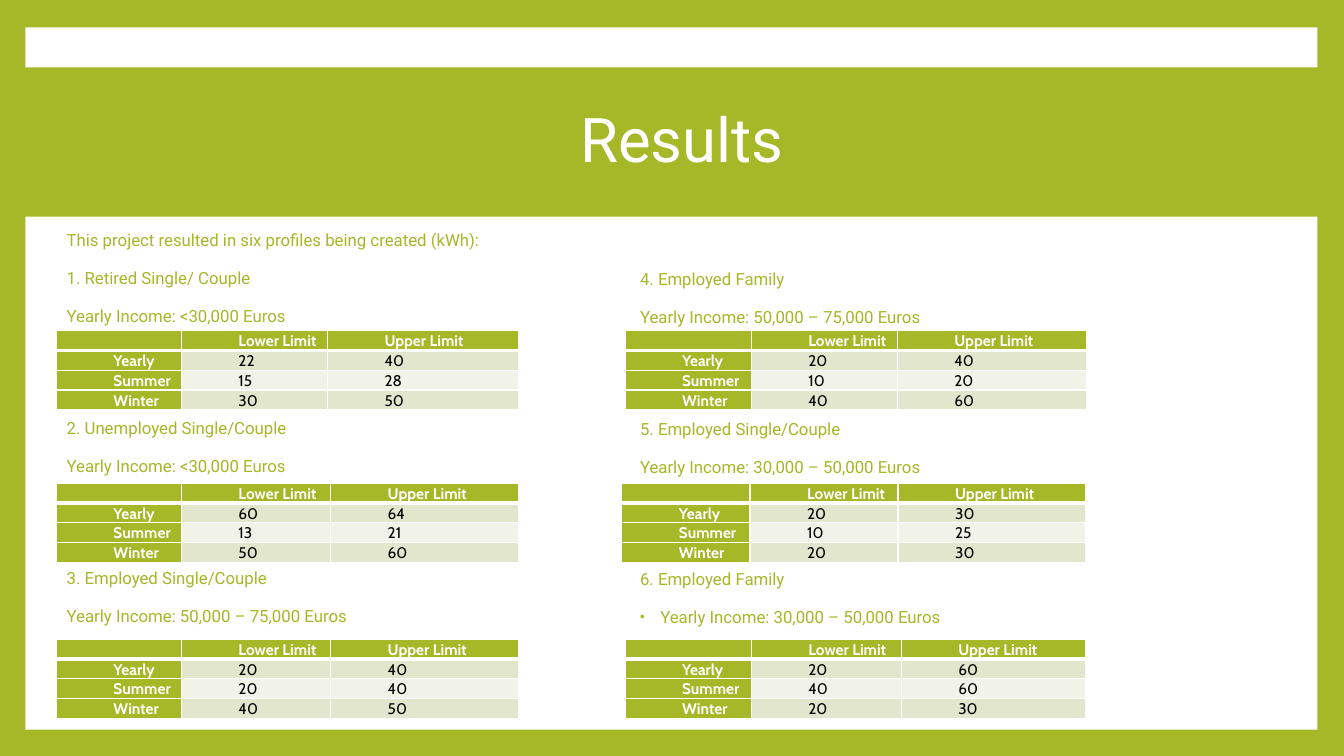
from lxml import etree
from pptx import Presentation
from pptx.dml.color import RGBColor
from pptx.enum import shapes, text
from pptx.oxml import ns
from pptx.util import Cm, Pt

GREEN, WHITE, BLACK = "A6B727", "FFFFFF", "000000"
BANDS = ["E1E6CD", "F1F3E8"]

TITLE = "Results"
INTRO = "This project resulted in six profiles being created (kWh):"
HEADERS = ["", "Lower Limit", "Upper Limit"]
SEASONS = ["Yearly", "Summer", "Winter"]
# One list per slide column: name, income, (lower, upper) per season,
# table left and column widths in cm
PROFILES = [
    [
        ("1. Retired Single/ Couple", "Yearly Income: <30,000 Euros",
         [(22, 40), (15, 28), (30, 50)], 1.42, (3.15, 3.68, 4.82)),
        ("2. Unemployed Single/Couple", "Yearly Income: <30,000 Euros",
         [(60, 64), (13, 21), (50, 60)], 1.42, (3.15, 3.76, 4.75)),
        ("3. Employed Single/Couple", "Yearly Income: 50,000 – 75,000 Euros",
         [(20, 40), (20, 40), (40, 50)], 1.42, (3.15, 3.76, 4.75)),
    ],
    [
        ("4. Employed Family", "Yearly Income: 50,000 – 75,000 Euros",
         [(20, 40), (10, 20), (40, 60)], 15.75, (3.18, 3.68, 4.78)),
        ("5. Employed Single/Couple", "Yearly Income: 30,000 – 50,000 Euros",
         [(20, 30), (10, 25), (20, 30)], 15.67, (3.23, 3.73, 4.72)),
        ("6. Employed Family", "Yearly Income: 30,000 – 50,000 Euros",
         [(20, 60), (40, 60), (20, 30)], 15.75, (3.18, 3.78, 4.65)),
    ],
]
TABLE_TOPS = [8.33, 12.17, 16.1]
ROW_HEIGHT = 0.475
TEXT_LEFTS = [1.3, 15.75]
TEXT_TOP_INSETS = [0.13, 1.11]
LINE_GAP, TABLE_GAP = 14, 67.3

BODY = {"size": Pt(12), "name": "Roboto", "color": GREEN}
HEADING = {"size": Pt(44), "name": "Roboto", "color": WHITE}
LABEL = {"size": Pt(11), "name": "Cabin", "bold": True, "color": WHITE}
VALUE = {"size": Pt(11), "name": "Cabin", "bold": False, "color": BLACK}


def rgb(color):
    return RGBColor.from_string(color)


def fill(target, color):
    target.fill.solid()
    target.fill.fore_color.rgb = rgb(color)


def add_node(parent, tag, **attributes):
    return etree.SubElement(parent, ns.qn(tag), attributes)


def write(paragraph, words, style, **layout):
    run = paragraph.add_run()
    run.text = words
    for key, value in style.items():
        if key == "color":
            run.font.color.rgb = rgb(value)
        else:
            setattr(run.font, key, value)
    for key, value in layout.items():
        setattr(paragraph, key, value)


def set_indent(paragraph, left, first=0):
    properties = paragraph._p.get_or_add_pPr()
    properties.set("marL", str(Cm(left)))
    properties.set("indent", str(Cm(first)))
    return properties


def add_bullet(paragraph):
    properties = set_indent(paragraph, 0.64, -0.51)
    add_node(add_node(properties, "a:buClr"), "a:srgbClr", val=GREEN)
    add_node(properties, "a:buSzPct", val="80000")
    add_node(properties, "a:buFont", typeface="Arial")
    add_node(properties, "a:buChar", char="•")


def add_border(cell, side, points):
    line = add_node(cell._tc.get_or_add_tcPr(), "a:ln" + side, w=str(Pt(points)))
    add_node(add_node(line, "a:solidFill"), "a:srgbClr", val=WHITE)


def add_profile_text(slide, column, profiles):
    box = slide.shapes.add_textbox(Cm(TEXT_LEFTS[column]), Cm(5.72), Cm(12.27), Cm(12.22))
    frame = box.text_frame
    frame.word_wrap = True
    frame.margin_top = Cm(TEXT_TOP_INSETS[column])
    lines = [(INTRO, 0)] if column == 0 else []
    for index, (name, income, *_) in enumerate(profiles):
        lines += [(name, TABLE_GAP if index else LINE_GAP), (income, LINE_GAP)]
    for index, (words, gap) in enumerate(lines):
        paragraph = frame.add_paragraph() if index else frame.paragraphs[0]
        before = Pt(gap) if index else Pt(0)
        write(paragraph, words, BODY, line_spacing=0.9, space_before=before)
        set_indent(paragraph, 0.13)
    if column == 1:
        add_bullet(paragraph)


def format_cell(cell, words, row, column):
    is_label = row == 0 or column == 0
    for side, value in {"left": 0.17, "right": 0.17, "top": 0, "bottom": 0}.items():
        setattr(cell, "margin_" + side, Cm(value))
    for side in "LRTB":
        thick = (row, side) in [(0, "B"), (1, "T")]
        add_border(cell, side, 3 if thick else 1)
    fill(cell, GREEN if is_label else BANDS[(row - 1) % 2])
    paragraph = cell.text_frame.paragraphs[0]
    if words:
        write(paragraph, words, LABEL if is_label else VALUE,
              line_spacing=1.07, alignment=text.PP_ALIGN.JUSTIFY)
        set_indent(paragraph, 1.27)
    else:
        add_node(paragraph._p, "a:endParaRPr", sz="1100")


def add_limits_table(slide, limits, left, top, widths):
    rows = [HEADERS] + [[season, *map(str, pair)] for season, pair in zip(SEASONS, limits)]
    frame = slide.shapes.add_table(len(rows), len(HEADERS), Cm(left), Cm(top),
                                   Cm(sum(widths)), Cm(ROW_HEIGHT * len(rows)))
    table = frame.table
    table.horz_banding = False
    for column, width in zip(table.columns, widths):
        column.width = Cm(width)
    for row, entries in enumerate(rows):
        for column, words in enumerate(entries):
            format_cell(table.cell(row, column), words, row, column)


def main():
    presentation = Presentation()
    presentation.slide_width, presentation.slide_height = Cm(33.87), Cm(19.05)
    slide = presentation.slides.add_slide(presentation.slide_layouts[5])
    fill(slide.background, GREEN)

    panel = slide.shapes.add_shape(shapes.MSO_SHAPE.RECTANGLE,
                                   Cm(0.64), Cm(0.69), Cm(32.56), Cm(17.7))
    panel.shadow.inherit = False
    fill(panel, WHITE)
    panel.line.fill.background()

    title = slide.shapes.title
    panel._element.addnext(title._element)
    title.left, title.top, title.width, title.height = Cm(0.51), Cm(1.7), Cm(33.35), Cm(3.76)
    fill(title, GREEN)
    title.text_frame.vertical_anchor = text.MSO_ANCHOR.MIDDLE
    write(title.text_frame.paragraphs[0], TITLE, HEADING,
          line_spacing=0.9, alignment=text.PP_ALIGN.CENTER)

    for column, profiles in enumerate(PROFILES):
        add_profile_text(slide, column, profiles)
        for (_, _, limits, left, widths), top in zip(profiles, TABLE_TOPS):
            add_limits_table(slide, limits, left, top, widths)
    presentation.save("out.pptx")


if __name__ == "__main__":
    main()
